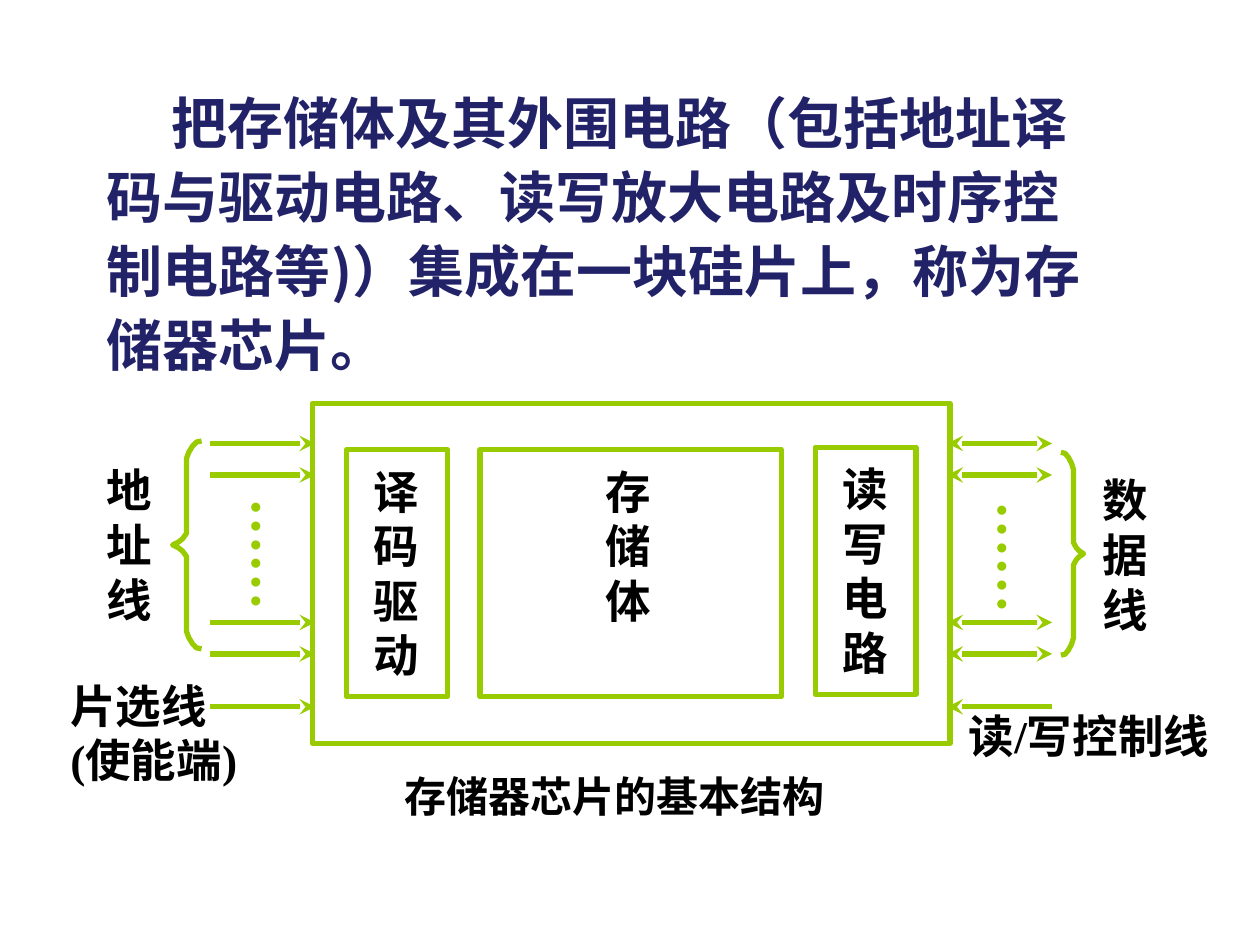
from lxml import etree
from pptx import Presentation
from pptx.dml.color import RGBColor
from pptx.enum.shapes import MSO_CONNECTOR, MSO_SHAPE
from pptx.oxml.ns import qn
from pptx.util import Inches, Pt

GREEN, NAVY, BLACK = "99CC00", "222268", "000000"
SANS, SERIF = "Noto Sans CJK SC", "Times New Roman"
LINE_WIDTH = Pt(3)
LINE_HEIGHT = 1.2

# Half a brace: (share outer end to spine, share spine to tip, share of half height)
BRACE_HALF = [
    (0, 0, 0), (0.33, 0, 0.01), (0.6, 0, 0.05), (0.85, 0, 0.11), (1, 0, 0.17),
    (1, 0, 0.83), (1, 0, 0.89), (1, 0.27, 0.94), (1, 0.55, 0.97), (1, 1, 1),
]


def color(value):
    return RGBColor.from_string(value)


def style_line(line):
    line.color.rgb = color(GREEN)
    line.width = LINE_WIDTH


def add_text(slide, box, lines, size=26, font=SERIF, fill=BLACK, spacing=LINE_HEIGHT,
             wrap=True, indent=0):
    shape = slide.shapes.add_textbox(*map(Inches, box))
    frame = shape.text_frame
    frame.word_wrap = wrap
    for index, line in enumerate(lines):
        paragraph = frame.paragraphs[0] if index == 0 else frame.add_paragraph()
        paragraph.text = line
        if spacing:
            paragraph.line_spacing = Pt(size * spacing)
        if indent:
            paragraph._p.get_or_add_pPr().set("indent", str(Inches(indent)))
        paragraph.font.size = Pt(size)
        paragraph.font.bold = True
        paragraph.font.name = font
        paragraph.font.color.rgb = color(fill)
    return shape


def add_dots(slide, left, top):
    shape = add_text(slide, (left, top, 0.73, 0.99), ["……"], 32, fill=GREEN,
                     spacing=None, wrap=False)
    frame = shape.text_frame
    frame.margin_left = frame.margin_right = Inches(0.05)
    frame.margin_top = frame.margin_bottom = Inches(0.1)
    frame._txBody.bodyPr.set("vert", "eaVert")


def add_box(slide, *box):
    shape = slide.shapes.add_shape(MSO_SHAPE.RECTANGLE, *map(Inches, box))
    shape.shadow.inherit = False
    shape.fill.background()
    style_line(shape.line)


def add_arrow(slide, start_x, end_x, y, both=False):
    connector = slide.shapes.add_connector(
        MSO_CONNECTOR.STRAIGHT, Inches(start_x), Inches(y), Inches(end_x), Inches(y))
    style_line(connector.line)
    line = connector.line._get_or_add_ln()
    for end in ("a:headEnd", "a:tailEnd") if both else ("a:tailEnd",):
        etree.SubElement(line, qn(end), type="stealth")
    etree.SubElement(connector._element.spPr, qn("a:effectLst"))


def add_brace(slide, outer, spine, tip, top, bottom):
    half = (bottom - top) / 2
    upper = [(outer + (spine - outer) * a + (tip - spine) * b, top + half * c)
             for a, b, c in BRACE_HALF]
    lower = [(x, top + bottom - y) for x, y in reversed(upper[:-1])]
    points = [(Inches(x), Inches(y)) for x, y in upper + lower]
    builder = slide.shapes.build_freeform(*points[0])
    builder.add_line_segments(points[1:], close=False)
    shape = builder.convert_to_shape()
    shape.shadow.inherit = False
    shape.fill.background()
    style_line(shape.line)


def main():
    presentation = Presentation()
    presentation.slide_width, presentation.slide_height = Inches(10), Inches(7.5)
    slide = presentation.slides.add_slide(presentation.slide_layouts[6])

    # Definition
    definition = ("把存储体及其外围电路（包括地址译码与驱动电路、读写放大电路及时序控"
                  "制电路等)）集成在一块硅片上，称为存储器芯片。")
    add_text(slide, (0.75, 0.6, 8.08, 3.14), [definition], 32, SANS, NAVY,
             spacing=1.32, indent=0.51)

    # Chip and its three blocks
    add_box(slide, 2.48, 3.2, 5.06, 2.7)
    add_box(slide, 2.75, 3.57, 0.8, 1.96)
    add_box(slide, 3.81, 3.57, 2.39, 1.96)
    add_box(slide, 6.47, 3.55, 0.8, 1.96)
    add_text(slide, (2.87, 3.63, 0.56, 1.84), "译码驱动")
    add_text(slide, (4.71, 3.63, 0.59, 1.4), "存储体")
    add_text(slide, (6.59, 3.61, 0.56, 1.84), "读写电路")

    # Address lines on the left, data lines on the right
    for y in (3.52, 3.77, 4.94, 5.19):
        add_arrow(slide, 1.67, 2.5, y)
        add_arrow(slide, 8.35, 7.52, y, both=True)
    add_brace(slide, 1.6, 1.48, 1.37, 3.5, 5.15)
    add_brace(slide, 8.42, 8.52, 8.6, 3.59, 5.2)
    add_dots(slide, 1.77, 3.86)
    add_dots(slide, 7.69, 3.88)
    add_text(slide, (0.75, 3.62, 0.56, 1.4), "地址线")
    add_text(slide, (8.65, 3.7, 0.56, 1.4), "数据线")

    # Control lines
    add_arrow(slide, 1.67, 2.5, 5.61)
    add_arrow(slide, 8.35, 7.52, 5.61)
    add_text(slide, (0.46, 5.33, 1.94, 0.97), ["片选线", "(使能端)"])
    add_text(slide, (7.59, 5.57, 2.28, 0.54), ["读/写控制线"], wrap=False)

    # Caption
    add_text(slide, (3.11, 6.03, 4.02, 0.54), ["存储器芯片的基本结构"], 24, SANS,
             spacing=1.32)

    presentation.save("out.pptx")


if __name__ == "__main__":
    main()
